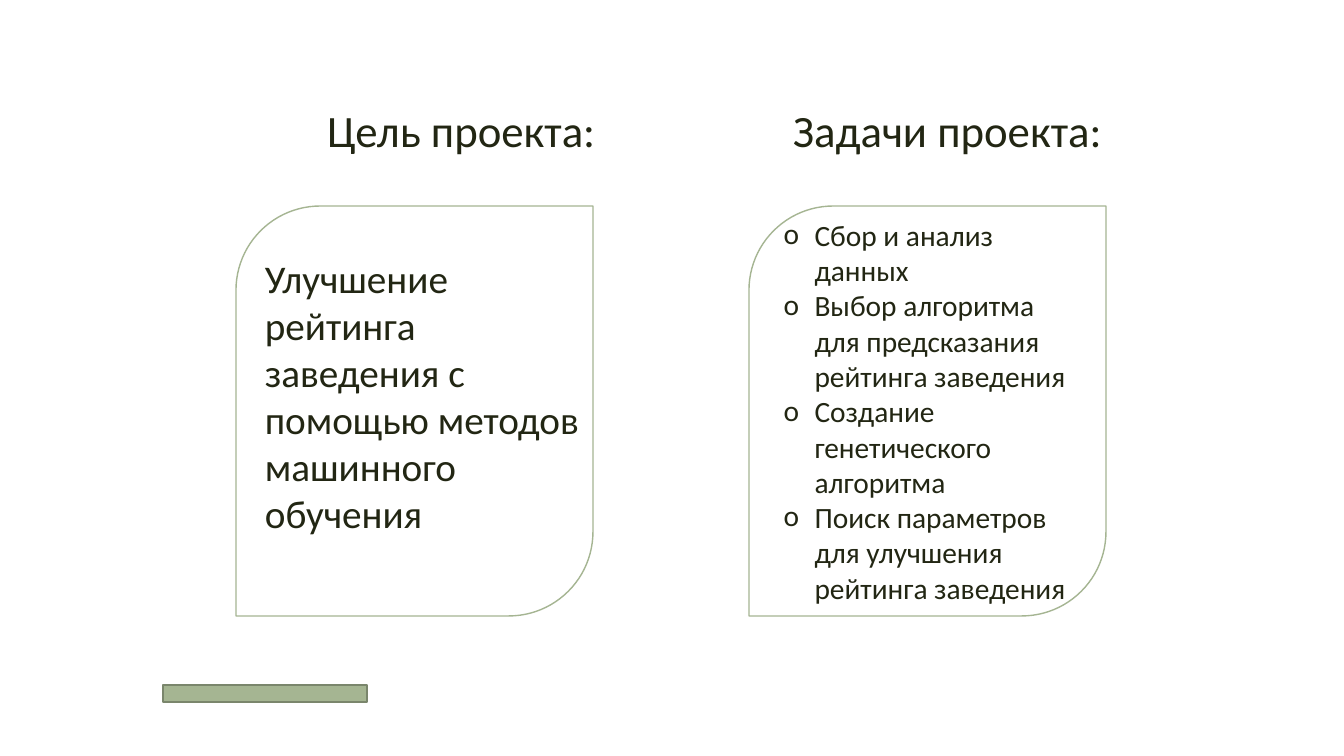
from lxml.etree import SubElement
from pptx import Presentation
from pptx.dml.color import RGBColor
from pptx.enum.shapes import MSO_SHAPE
from pptx.enum.text import MSO_ANCHOR, MSO_AUTO_SIZE, PP_ALIGN
from pptx.oxml.ns import qn
from pptx.util import Emu, Pt

SCALE = 914400 / 100.8
INK = RGBColor(0x22, 0x26, 0x13)
SAGE = RGBColor(0xA5, 0xB5, 0x92)
MOSS = RGBColor(0x7A, 0x86, 0x6C)
WHITE = RGBColor(0xFF, 0xFF, 0xFF)


def px(count):
    return Emu(round(count * SCALE))


class Board:
    """Draws the elements of one slide in a shared style."""

    font = "Calibri"
    frame = {"word_wrap": True, "auto_size": MSO_AUTO_SIZE.NONE}

    def __init__(self, deck):
        self.slide = deck.slides.add_slide(deck.slide_layouts[5])
        self.shapes = self.slide.shapes

    def letter(self, shape, lines, size, anchor=MSO_ANCHOR.TOP):
        frame = shape.text_frame
        for name, value in {**self.frame, "vertical_anchor": anchor}.items():
            setattr(frame, name, value)
        frame.text = "\n".join(lines)
        style = {"name": self.font, "size": Pt(size), "bold": False}
        for para in frame.paragraphs:
            para.alignment = PP_ALIGN.LEFT
            font = para.runs[0].font
            for name, value in style.items():
                setattr(font, name, value)
            font.color.rgb = INK

    def title(self, text, box, size):
        shape = self.shapes.title
        for name, value in zip(("left", "top", "width", "height"), box):
            setattr(shape, name, px(value))
        self.letter(shape, [text], size)

    def label(self, text, box, size):
        self.letter(self.shapes.add_textbox(*map(px, box)), [text], size)

    def block(self, kind, box, fill, line):
        shape = self.shapes.add_shape(kind, *map(px, box))
        shape.shadow.inherit = False
        shape.fill.solid()
        shape.fill.fore_color.rgb = fill
        shape.line.color.rgb = line
        shape.line.width = Pt(1)
        return shape

    def card(self, box):
        shape = self.block(MSO_SHAPE.ROUND_2_DIAG_RECTANGLE, box, WHITE, SAGE)
        shape.adjustments[0] = 0.236
        return shape

    def tasks(self, shape, lines, size):
        self.letter(shape, lines, size, MSO_ANCHOR.MIDDLE)
        indent = px(31)
        for para in shape.text_frame.paragraphs:
            props = para._p.get_or_add_pPr()
            props.set("marL", str(indent))
            props.set("indent", str(-indent))
            SubElement(props, qn("a:buFont"), typeface=self.font)
            SubElement(props, qn("a:buChar"), char="o")


def main():
    deck = Presentation()
    deck.slide_width, deck.slide_height = px(1344), px(756)
    board = Board(deck)
    board.block(MSO_SHAPE.RECTANGLE, (163, 685, 204, 17), SAGE, MOSS)
    goal, plan = [board.card((left, 206, 357, 410)) for left in (236, 749)]
    board.tasks(plan, [
        "Сбор и анализ данных",
        "Выбор алгоритма для предсказания рейтинга заведения",
        "Создание генетического алгоритма",
        "Поиск параметров для улучшения рейтинга заведения",
    ], 21)
    board.title("Цель проекта:", (317, 98, 340, 95), 32)
    board.label("Задачи проекта:", (783, 98, 340, 95), 32)
    board.label(
        "Улучшение рейтинга заведения с помощью методов машинного обучения",
        (255, 249, 352, 295), 28)
    deck.save("out.pptx")


if __name__ == "__main__":
    main()
